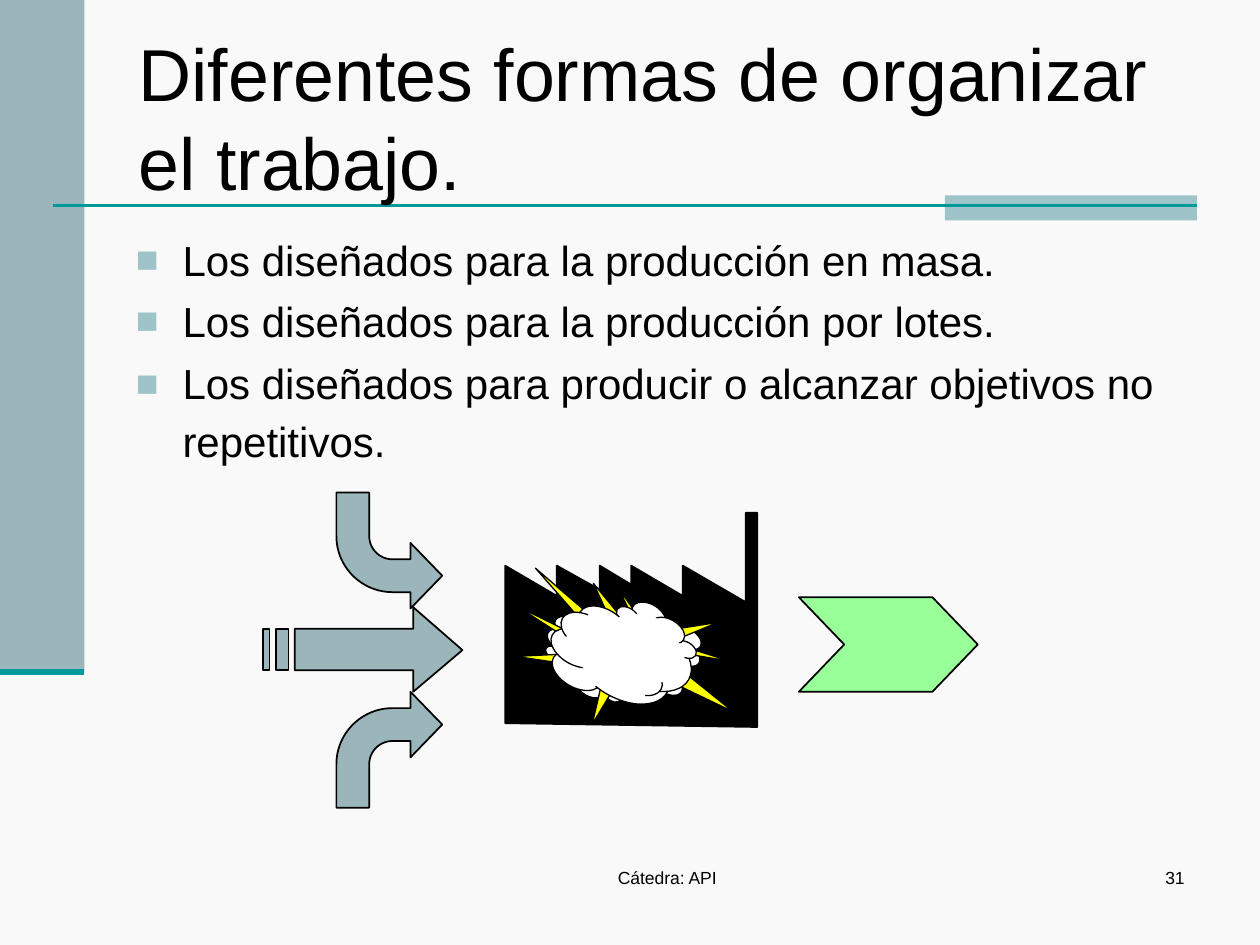
"""Build the slide on ways of organising work, with a factory diagram."""
from lxml.etree import SubElement
from pptx import Presentation
from pptx.dml.color import RGBColor
from pptx.enum.shapes import MSO_CONNECTOR, MSO_SHAPE
from pptx.enum.text import MSO_ANCHOR, MSO_AUTO_SIZE, PP_ALIGN
from pptx.oxml.ns import qn
from pptx.util import Pt

SCALE = 9144
COLORS = {
    "background": "F9F9F9", "text": "000000", "outline": "000000", "factory": "000000",
    "panel": "9BB6BB", "accent": "9EC3C8", "rule": "009999", "output": "99FF99",
    "smoke": "FFFFFF", "flash": "FFFF00",
}
BULLETS = [
    ("Los diseñados para la producción en masa.", 0),
    ("Los diseñados para la producción por lotes.", 6),
    ("Los diseñados para producir o alcanzar objetivos no repetitivos.", 7),
]
FACTORY = [(401, 574), (401, 449), (442, 473), (442, 449), (476, 468), (476, 449), (501, 464),
           (501, 449), (542, 473), (542, 449), (592, 478), (592, 407), (601, 407), (601, 577)]
ARROW = [(328, 482), (328, 499), (234, 499), (234, 532), (328, 532), (328, 549), (367, 516)]
STRIPES = [[(left, 499), (left, 532), (right, 532), (right, 499)]
           for left, right in ((219, 229), (209, 214))]
FLASH = [(452, 508), (410, 481), (461, 506), (461, 492), (425, 451), (475, 494), (484, 491),
         (471, 463), (494, 491), (500, 486), (491, 467), (505, 487), (538, 499), (570, 494),
         (536, 508), (548, 515), (580, 525), (539, 518), (546, 536), (582, 565), (534, 542),
         (485, 550), (470, 575), (477, 545), (443, 526), (409, 521), (451, 519)]
BACK_PUFFS = [(523, 531, 15, 24), (444, 486, 15, 24), (435, 511, 9, 14), (482, 545, 9, 14),
              (461, 533, 15, 24), (438, 496, 15, 24), (538, 495, 15, 24), (537, 508, 15, 24)]
MIDDLE_PUFFS = [(445, 511, 26, 43), (469, 488, 50, 82)]
FRONT_PUFFS = [(486, 478, 50, 82), (506, 474, 18, 29), (538, 506, 12, 19), (492, 479, 12, 19),
               (521, 486, 18, 29), (444, 493, 26, 43), (466, 475, 26, 43), (452, 480, 26, 43),
               (493, 515, 26, 43)]
SLIVER = [(458, 529), (470, 546), (474, 544), (460, 529)]
CLOUD_CORE = [(447, 506), (463, 501), (467, 487), (491, 490), (494, 489), (503, 487), (509, 488),
              (520, 490), (523, 492), (544, 516), (543, 524), (529, 542), (524, 541), (512, 551),
              (512, 555), (466, 535)]


def px(value):
    return value * SCALE


def color(name):
    return RGBColor.from_string(COLORS[name])


def add_text(para, text, size=24, ink="text", font="Arial"):
    span = para.add_run()
    span.text = text
    span.font.name = font
    span.font.size = Pt(size)
    span.font.color.rgb = color(ink)


class SlideBuilder:
    def __init__(self, page):
        self.page = page
        self.shapes = page.shapes
        page.background.fill.solid()
        page.background.fill.fore_color.rgb = color("background")

    def paint(self, shape, fill, outline):
        shape.shadow.inherit = False
        shape.fill.solid()
        shape.fill.fore_color.rgb = color(fill)
        if outline:
            shape.line.color.rgb = color("outline")
            shape.line.width = Pt(outline)
        else:
            shape.line.fill.background()
        return shape

    def preset(self, kind, frame, fill, outline=0, adjustments=(), rotation=0):
        shape = self.shapes.add_shape(kind, *map(px, frame))
        for index, value in enumerate(adjustments):
            shape.adjustments[index] = value
        shape.rotation = rotation
        return self.paint(shape, fill, outline)

    def outline_shape(self, contours, fill, outline=0):
        builder = self.shapes.build_freeform(*contours[0][0], scale=SCALE)
        builder.add_line_segments(contours[0][1:], close=True)
        for contour in contours[1:]:
            builder.move_to(*contour[0])
            builder.add_line_segments(contour[1:], close=True)
        return self.paint(builder.convert_to_shape(), fill, outline)

    def puffs(self, frames):
        for frame in frames:
            self.preset(MSO_SHAPE.OVAL, frame, "smoke", 0.75, rotation=300)

    def rule(self, left, right, top, width):
        line = self.shapes.add_connector(MSO_CONNECTOR.STRAIGHT, *map(px, (left, top, right, top)))
        line.line.color.rgb = color("rule")
        line.line.width = Pt(width)
        SubElement(line._element.spPr, qn("a:effectLst"))

    def title(self, frame, text):
        box = self.shapes.title
        box.left, box.top, box.width, box.height = map(px, frame)
        box.text_frame.auto_size = MSO_AUTO_SIZE.NONE
        box.text_frame.vertical_anchor = MSO_ANCHOR.MIDDLE
        para = box.text_frame.paragraphs[0]
        para.alignment = PP_ALIGN.LEFT
        add_text(para, text, size=42)
        self.shapes._spTree.append(box._element)

    def text_box(self, frame):
        box = self.shapes.add_textbox(*map(px, frame))
        box.text_frame.word_wrap = True
        return box.text_frame

    def footer(self, frame, text, alignment):
        para = self.text_box(frame).paragraphs[0]
        para.alignment = alignment
        add_text(para, text, size=10)

    def bullets(self, frame, items):
        body = self.text_box(frame)
        for index, (text, space) in enumerate(items):
            para = body.add_paragraph() if index else body.paragraphs[0]
            properties = para._p.get_or_add_pPr()
            properties.set("marL", str(px(37)))
            properties.set("indent", str(px(-37)))
            if index:
                para.space_before = Pt(space)
            tint = SubElement(properties, qn("a:buClr"))
            SubElement(tint, qn("a:srgbClr"), val=COLORS["accent"])
            SubElement(properties, qn("a:buSzPct"), val="90000")
            SubElement(properties, qn("a:buFont"), typeface="Arial")
            SubElement(properties, qn("a:buChar"), char="■")
            add_text(para, text)
        add_text(para, " ", size=28)


def main():
    deck = Presentation()
    deck.slide_width, deck.slide_height = px(1000), px(750)
    slide = SlideBuilder(deck.slides.add_slide(deck.slide_layouts[5]))

    slide.preset(MSO_SHAPE.RECTANGLE, (0, 0, 67, 533), "panel")
    slide.preset(MSO_SHAPE.RECTANGLE, (750, 155, 200, 20), "accent")
    slide.rule(42, 950, 163, 1.5)
    slide.rule(0, 67, 533, 3.5)
    slide.footer((367, 683, 325, 50), "Cátedra: API", PP_ALIGN.CENTER)
    slide.footer((742, 683, 208, 50), "31", PP_ALIGN.RIGHT)
    slide.title((100, 30, 850, 125), "Diferentes formas de organizar el trabajo.")
    slide.bullets((98, 181, 875, 255), BULLETS)

    slide.outline_shape([FACTORY], "factory", 1)
    slide.outline_shape([ARROW, *STRIPES], "panel", 1)
    slide.preset(MSO_SHAPE.CHEVRON, (634, 474, 142, 75), "output", 1, [0.48])
    for top, flipped in ((549, False), (391, True)):
        bend = slide.preset(MSO_SHAPE.BENT_ARROW, (267, top, 84, 92), "panel", 1,
                            [0.31, 0.31, 0.3, 0.53])
        if flipped:
            bend._element.spPr.xfrm.set("flipV", "1")

    slide.puffs(BACK_PUFFS)
    slide.outline_shape([FLASH], "flash", 0.75)
    slide.puffs(MIDDLE_PUFFS)
    slide.outline_shape([SLIVER], "smoke")
    slide.puffs(FRONT_PUFFS)
    slide.outline_shape([CLOUD_CORE], "smoke")
    deck.save("out.pptx")


if __name__ == "__main__":
    main()
